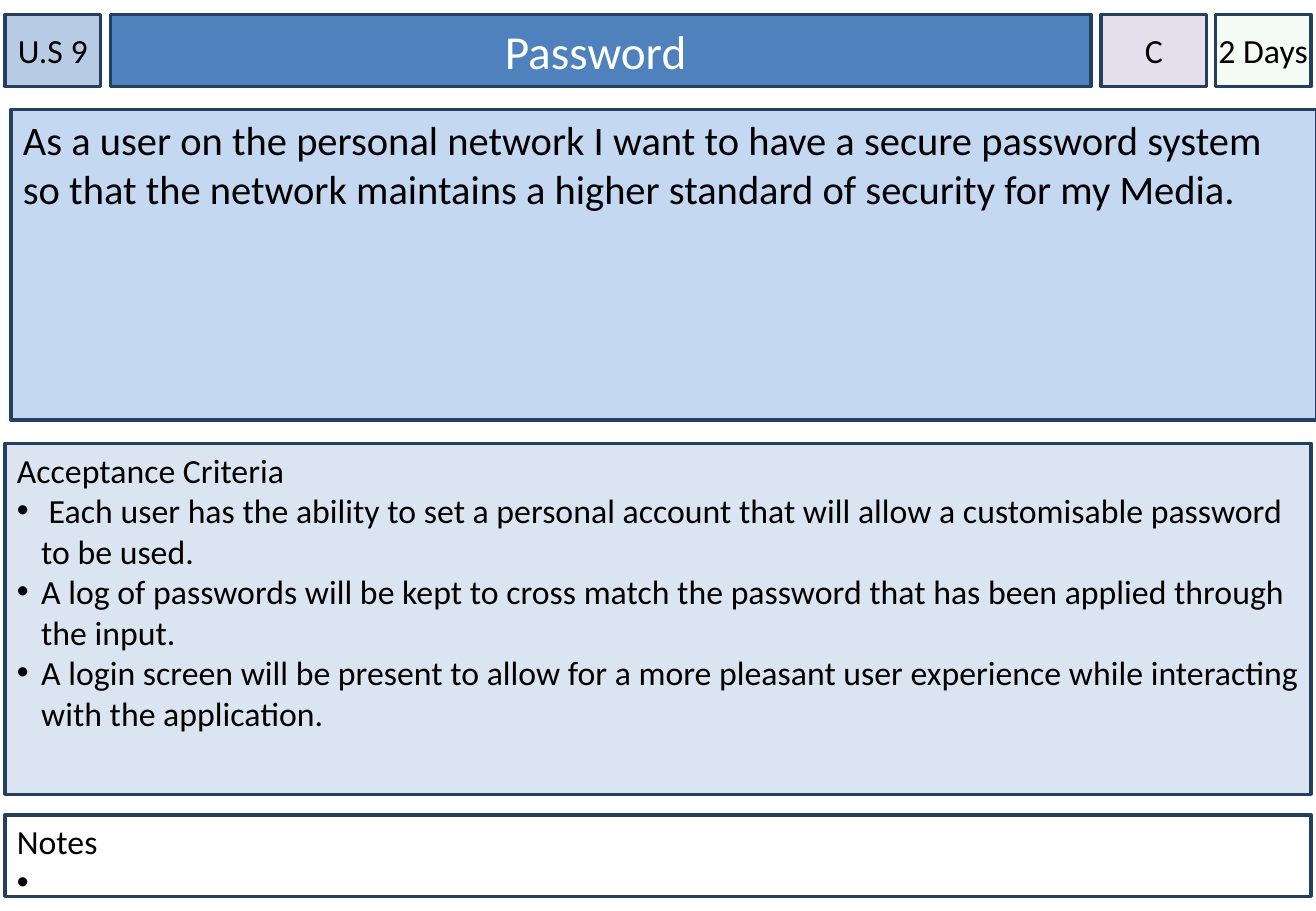
from dataclasses import dataclass

from lxml import etree
from pptx import Presentation
from pptx.dml.color import RGBColor
from pptx.enum.shapes import MSO_SHAPE
from pptx.enum.text import MSO_ANCHOR, PP_ALIGN
from pptx.oxml.ns import qn
from pptx.util import Inches, Pt


@dataclass(frozen=True)
class Theme:
    """Colours, type sizes and measures of the story card."""
    font: str = "Calibri"
    ink: str = "000000"
    light: str = "FFFFFF"
    border: str = "244061"
    story_id: str = "B7CCE4"
    title: str = "4F81BD"
    story: str = "C5D8F1"
    criteria: str = "DAE5F1"
    priority: str = "E5DFEC"
    estimate: str = "CCF0CD"
    estimate_opacity: int = 20
    title_size: int = 28
    story_size: int = 24
    body_size: int = 20
    border_width: float = 2
    bullet_indent: float = 0.2
    side_inset: float = 0.1
    edge_inset: float = 0.05


class StoryCard:
    """Draws on one slide; places are (left, top, width, height) in percent."""

    def __init__(self, prs, theme):
        """Add a blank slide to the presentation."""
        self.prs, self.theme = prs, theme
        self.slide = prs.slides.add_slide(prs.slide_layouts[6])

    def box(self, place, fill, opacity=100):
        """Add a bordered rectangle and return its text frame."""
        sides = (self.prs.slide_width, self.prs.slide_height) * 2
        lengths = [round(side * share / 100) for side, share in zip(sides, place)]
        shape = self.slide.shapes.add_shape(MSO_SHAPE.RECTANGLE, *lengths)
        shape.shadow.inherit = False
        shape.fill.solid()
        shape.fill.fore_color.rgb = RGBColor.from_string(fill)
        if opacity < 100:
            colour = shape.element.spPr.find(qn("a:solidFill"))[0]
            etree.SubElement(colour, qn("a:alpha"), val=str(opacity * 1000))
        shape.line.color.rgb = RGBColor.from_string(self.theme.border)
        shape.line.width = Pt(self.theme.border_width)
        frame = shape.text_frame
        frame.word_wrap = True
        frame.margin_top = frame.margin_bottom = Inches(self.theme.edge_inset)
        return frame

    def set_text(self, paragraph, text, size, colour, align):
        """Put styled text into a paragraph."""
        paragraph.alignment = align
        run = paragraph.add_run()
        run.text = text
        run.font.name = self.theme.font
        run.font.size = Pt(size)
        run.font.color.rgb = RGBColor.from_string(colour)

    def label(self, place, fill, text, size=None, colour=None, inset=0, opacity=100):
        """Add a header box with one centred line."""
        frame = self.box(place, fill, opacity)
        frame.vertical_anchor = MSO_ANCHOR.MIDDLE
        frame.margin_left = frame.margin_right = Inches(inset)
        self.set_text(frame.paragraphs[0], text, size or self.theme.body_size,
                      colour or self.theme.ink, PP_ALIGN.CENTER)

    def panel(self, place, fill, text, bullets=(), size=None):
        """Add a box with a lead line and bullets below it."""
        frame = self.box(place, fill)
        frame.vertical_anchor = MSO_ANCHOR.TOP
        frame.margin_left = frame.margin_right = Inches(self.theme.side_inset)
        size = size or self.theme.body_size
        self.set_text(frame.paragraphs[0], text, size, self.theme.ink, PP_ALIGN.LEFT)
        for bullet in bullets:
            paragraph = frame.add_paragraph()
            self.set_text(paragraph, bullet, size, self.theme.ink, PP_ALIGN.LEFT)
            self.add_bullet(paragraph)

    def add_bullet(self, paragraph):
        """Give a paragraph a hanging bullet."""
        indent = Inches(self.theme.bullet_indent)
        props = paragraph._p.get_or_add_pPr()
        props.set("marL", str(indent))
        props.set("indent", str(-indent))
        etree.SubElement(props, qn("a:buFont"), typeface="Arial")
        etree.SubElement(props, qn("a:buChar"), char="•")


def main():
    """Build the password story card."""
    theme = Theme()
    prs = Presentation()
    prs.slide_width, prs.slide_height = Inches(10.83), Inches(7.5)
    card = StoryCard(prs, theme)

    left, width = 0.37, 99.26
    header_top, header_height = 1.6, 7.87

    def header(x, w):
        """Return a place in the header row."""
        return x, header_top, w, header_height

    card.label(header(left, 7.29), theme.story_id, "U.S 9")
    card.label(header(8.4, 74.52), theme.title, "Password ",
               theme.title_size, theme.light, theme.side_inset)
    card.label(header(83.66, 8.03), theme.priority, "C")
    card.label(header(92.34, 7.29), theme.estimate, "2 Days",
               opacity=theme.estimate_opacity)

    card.panel((0.83, 12, width, 34.13), theme.story,
               "As a user on the personal network I want to have a secure password "
               "system so that the network maintains a higher standard of security "
               "for my Media.", size=theme.story_size)
    card.panel((left, 48.67, width, 38.53), theme.criteria, "Acceptance Criteria", [
        " Each user has the ability to set a personal account that will allow a "
        "customisable password to be used.",
        "A log of passwords will be kept to cross match the password that has been "
        "applied through the input.",
        "A login screen will be present to allow for a more pleasant user experience "
        "while interacting with the application.",
    ])
    card.panel((left, 89.47, width, 8.93), theme.light, "Notes", [" "])

    prs.save("out.pptx")


main()
